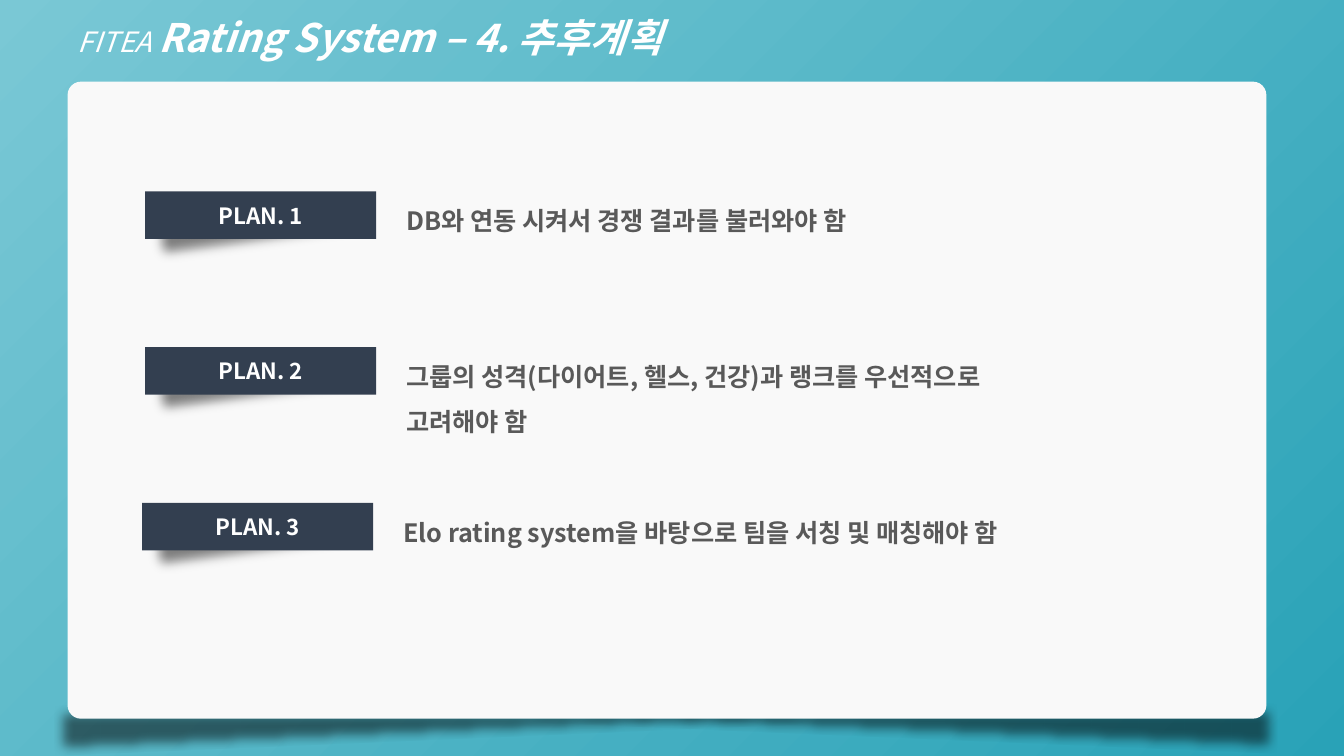
from lxml import etree
from pptx import Presentation
from pptx.dml.color import RGBColor
from pptx.enum.shapes import MSO_SHAPE
from pptx.enum.text import MSO_ANCHOR, MSO_AUTO_SIZE, PP_ALIGN
from pptx.oxml.ns import qn
from pptx.util import Inches, Pt

RECTANGLE = MSO_SHAPE.RECTANGLE
ROUNDED = MSO_SHAPE.ROUNDED_RECTANGLE
TRIANGLE = MSO_SHAPE.RIGHT_TRIANGLE
TOP, MIDDLE = MSO_ANCHOR.TOP, MSO_ANCHOR.MIDDLE
LEFT, CENTER = PP_ALIGN.LEFT, PP_ALIGN.CENTER
GROW = MSO_AUTO_SIZE.SHAPE_TO_FIT_TEXT

FONT = "Noto Sans CJK KR"
TITLE_ONLY = 5
COLORS = {
    "sky": "7AC8D5", "sea": "29A2B7", "card": "F9F9F9", "label": "333F50",
    "text": "595959", "white": "FFFFFF", "black": "000000", "gray": "808080",
}

# Plan rows: left, top of the label, label, text, width of the text box
FIRST_ROW, ROW_PITCH = 1.9, 1.545
PLANS = [
    (1.44, "PLAN. 1", "DB와 연동 시켜서 경쟁 결과를 불러와야 함", 6.59),
    (1.44, "PLAN. 2", "그룹의 성격(다이어트, 헬스, 건강)과 랭크를 우선적으로 고려해야 함", 7.36),
    (1.41, "PLAN. 3", "Elo rating system을 바탕으로 팀을 서칭 및 매칭해야 함", 7.36),
]


def color(name):
    return RGBColor.from_string(COLORS[name])


def add_span(para, text, size=18, fill="text", bold=False, italic=False):
    span = para.add_run()
    span.text = text
    font = span.font
    font.name, font.size, font.bold, font.italic = FONT, Pt(size), bold, italic
    font.color.rgb = color(fill)
    east_asian = etree.SubElement(span._r.get_or_add_rPr(), qn("a:ea"))
    east_asian.set("typeface", FONT)


def add_box(parent, kind, box, fill, soft=0, alpha=100):
    """Add a plain shape; soft is the radius of its blurred edge in inches."""
    shape = parent.shapes.add_shape(kind, *map(Inches, box))
    shape.shadow.inherit = False
    shape.line.fill.background()
    shape.fill.solid()
    shape.fill.fore_color.rgb = color(fill)
    properties = shape._element.spPr
    if alpha < 100:
        tint = properties.find(".//" + qn("a:srgbClr"))
        etree.SubElement(tint, qn("a:alpha")).set("val", str(alpha * 1000))
    if soft:
        effects = properties.find(qn("a:effectLst"))
        etree.SubElement(effects, qn("a:softEdge")).set("rad", str(Inches(soft)))
    return shape


def paint_background(page):
    fill = page.background.fill
    fill.gradient()
    fill.gradient_angle = 315
    for stop, name in zip(fill.gradient_stops, ("sky", "sea")):
        stop.color.rgb = color(name)


def add_card(page, left, top, width, height):
    group = page.shapes.add_group_shape()
    # Blurred wedges below the left and right corners
    for offset, flips in ((-0.02, ("flipH", "flipV")), (-0.13, ("flipV",))):
        wedge_top = top + height - (0.15 if len(flips) == 2 else 0.13)
        wedge = add_box(group, TRIANGLE, (left + offset, wedge_top, 12.02, 0.5),
                        "black", soft=0.1, alpha=51)
        for flip in flips:
            wedge._element.spPr.xfrm.set(flip, "1")
    card = add_box(group, ROUNDED, (left, top, width, height), "card")
    card.adjustments[0] = 0.021


def add_title(page, left, top, width, height):
    title = page.shapes.title
    title.left, title.top = Inches(left), Inches(top)
    title.width, title.height = Inches(width), Inches(height)
    frame = title.text_frame
    frame.vertical_anchor, frame.auto_size, frame.word_wrap = TOP, GROW, True
    para = frame.paragraphs[0]
    para.alignment = LEFT
    add_span(para, "FITEA ", size=20, fill="white", italic=True)
    add_span(para, "Rating System – 4. 추후계획", size=28, fill="white",
             bold=True, italic=True)


def add_plan(page, left, top, label, text, text_width):
    # Label with a tilted shadow
    group = page.shapes.add_group_shape()
    shadow = add_box(group, RECTANGLE, (left - 0.04, top + 0.06, 2.33, 0.61),
                     "gray", soft=0.14)
    shadow.rotation = 352.5
    tag = add_box(group, RECTANGLE, (left, top, 2.29, 0.47), "label")
    tag.text_frame.vertical_anchor = MIDDLE
    para = tag.text_frame.paragraphs[0]
    para.alignment = CENTER
    add_span(para, label, size=16, fill="white", bold=True)

    # Description
    place = (left + 2.49, top - 0.06, text_width, 0.56)
    frame = page.shapes.add_textbox(*map(Inches, place)).text_frame
    frame.word_wrap, frame.auto_size = True, GROW
    frame.margin_right = Inches(text_width - 6.46)
    para = frame.paragraphs[0]
    para.line_spacing = 1.5
    add_span(para, text, bold=True)


def main():
    deck = Presentation()
    deck.slide_width, deck.slide_height = Inches(13.33), Inches(7.5)
    page = deck.slides.add_slide(deck.slide_layouts[TITLE_ONLY])
    paint_background(page)
    add_card(page, 0.67, 0.81, 11.89, 6.32)
    add_title(page, 0.67, 0.08, 7.52, 0.57)
    for row, (left, label, text, text_width) in enumerate(PLANS):
        add_plan(page, left, FIRST_ROW + row * ROW_PITCH, label, text, text_width)
    deck.save("out.pptx")


if __name__ == "__main__":
    main()
